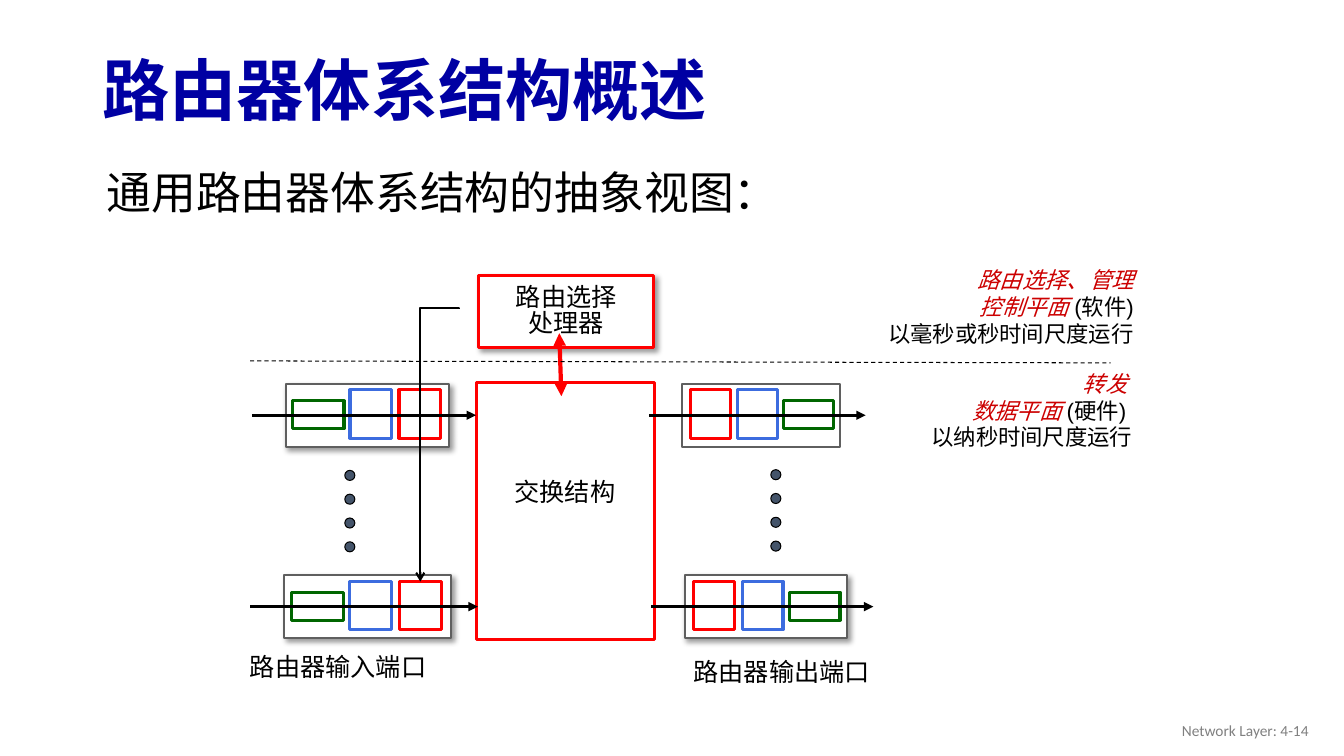
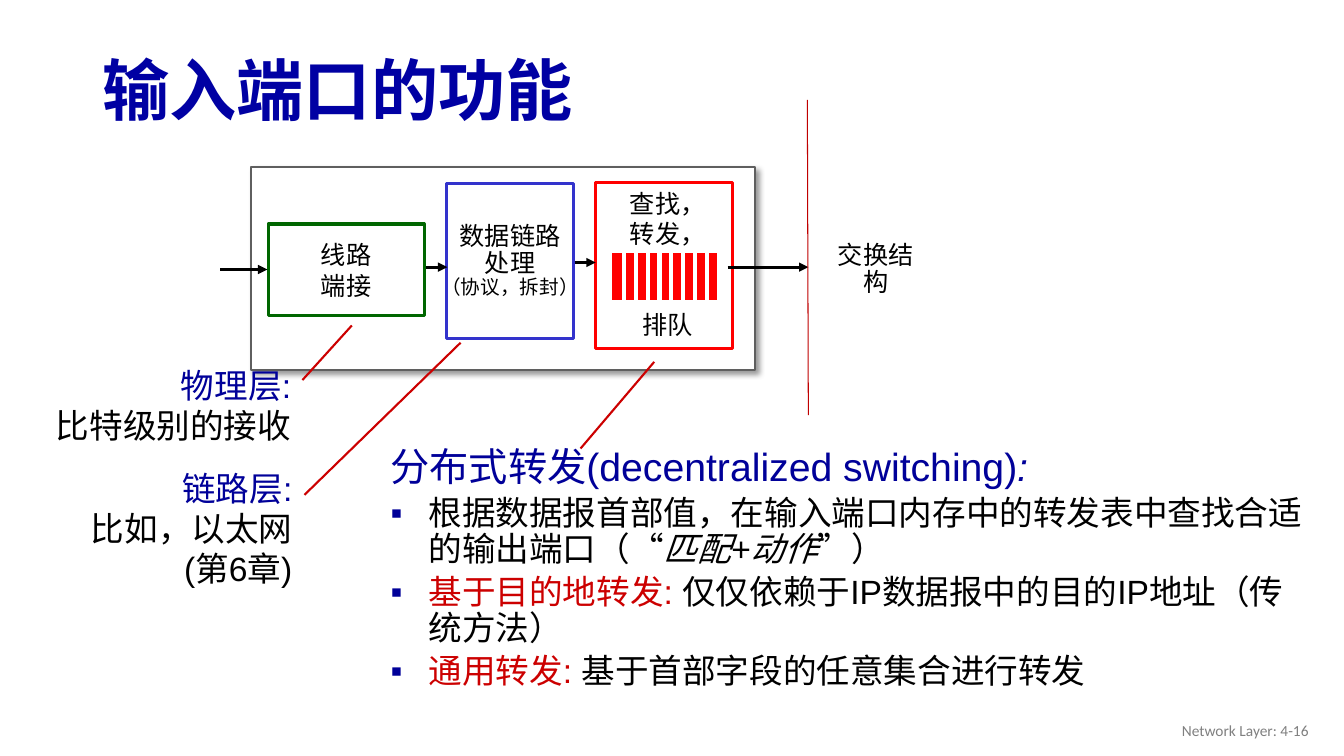
from lxml import etree
from pptx import Presentation
from pptx import util as u
from pptx.dml.color import RGBColor
from pptx.enum import dml, shapes, text
from pptx.oxml import ns

Pt = u.Pt
WHITE = RGBColor(0xFF, 0xFF, 0xFF)
BLACK = RGBColor(0, 0, 0)
TITLE_BLUE = RGBColor(0, 0, 0xA3)
HEADING_BLUE = RGBColor(0, 0, 0x99)
LINK_BLUE = RGBColor(0x33, 0x33, 0xCC)
PORT_BLUE = RGBColor(0x3C, 0x6C, 0xDF)
GREEN = RGBColor(0, 0x66, 0)
RED = RGBColor(0xFF, 0, 0)
ACCENT_RED = RGBColor(0xCC, 0, 0)
DARK_RED = RGBColor(0xC0, 0, 0)
FRAME_GRAY = RGBColor(0x5F, 0x5F, 0x5F)
FOOTER_GRAY = RGBColor(0x80, 0x80, 0x80)
SLATE = RGBColor(0x44, 0x54, 0x6A)

LEFT, CENTER, RIGHT = text.PP_ALIGN.LEFT, text.PP_ALIGN.CENTER, text.PP_ALIGN.RIGHT
TOP, MIDDLE = text.MSO_ANCHOR.TOP, text.MSO_ANCHOR.MIDDLE
RECTANGLE, OVAL = shapes.MSO_SHAPE.RECTANGLE, shapes.MSO_SHAPE.OVAL


def add_element(parent, tag, **attributes):
    return etree.SubElement(parent, ns.qn(tag), attributes)


def write_paragraph(para, spans, size, color=BLACK, align=LEFT, spacing=None,
                    font="Arial", bold=None):
    para.alignment = align
    if spacing:
        para.line_spacing = spacing
    para.font.name = font
    para.font.size = Pt(size)
    para.font.bold = bold
    para.font.color.rgb = color
    for words, span_color, italic in spans:
        span = para.add_run()
        span.text = words
        if span_color != color:
            span.font.color.rgb = span_color
        if italic:
            span.font.italic = True


def write_lines(frame, lines, size, color=BLACK, anchor=TOP, wrap=False, **style):
    frame.word_wrap = wrap
    frame.vertical_anchor = anchor
    for index, line in enumerate(lines):
        para = frame.add_paragraph() if index else frame.paragraphs[0]
        spans = [(line, color, False)] if isinstance(line, str) else line
        write_paragraph(para, spans, size, color, **style)
    return frame


def add_text(page, left, top, width, height, lines, size, **style):
    box = page.shapes.add_textbox(Pt(left), Pt(top), Pt(width), Pt(height))
    return write_lines(box.text_frame, lines, size, **style)


def add_box(page, left, top, width, height, color, weight=2.25, fill=WHITE,
            kind=RECTANGLE, shadow=False):
    box = page.shapes.add_shape(kind, Pt(left), Pt(top), Pt(width), Pt(height))
    box.fill.solid()
    box.fill.fore_color.rgb = fill
    box.line.color.rgb = color
    box.line.width = Pt(weight)
    box.shadow.inherit = False
    if shadow:
        effects = box._element.spPr.find(ns.qn("a:effectLst"))
        outer = add_element(effects, "a:outerShdw", blurRad=str(Pt(4)), dist=str(Pt(3)),
                            dir="2700000", algn="tl", rotWithShape="0")
        shade = add_element(outer, "a:srgbClr", val=str(BLACK))
        add_element(shade, "a:alpha", val="40000")
    return box


def add_line(page, x1, y1, x2, y2, color=BLACK, weight=2.25, head=None, tail=None,
             dash=None, kind=shapes.MSO_CONNECTOR.STRAIGHT):
    line = page.shapes.add_connector(kind, Pt(x1), Pt(y1), Pt(x2), Pt(y2))
    line.line.color.rgb = color
    line.line.width = Pt(weight)
    if dash:
        line.line.dash_style = dash
    outline = line.line._get_or_add_ln()
    for tag, end in (("a:headEnd", head), ("a:tailEnd", tail)):
        if end:
            add_element(outline, tag, type=end)
    add_element(line._element.spPr, "a:effectLst")
    return line


def add_arrow(page, x1, x2, y):
    add_line(page, x1, y, x2, y, tail="triangle")


def add_left_down_elbow(page, x1, y1, x2, y2):
    across, down = x1 - x2, y2 - y1
    middle_x, middle_y = (x1 + x2) / 2, (y1 + y2) / 2
    elbow = add_line(page, middle_x - down / 2, middle_y - across / 2,
                     middle_x + down / 2, middle_y + across / 2, weight=1.5,
                     tail="arrow", kind=shapes.MSO_CONNECTOR.ELBOW)
    properties = elbow._element.spPr
    properties.find(ns.qn("a:xfrm")).set("rot", "5400000")
    guides = properties.find(ns.qn("a:prstGeom")).find(ns.qn("a:avLst"))
    add_element(guides, "a:gd", name="adj1", fmla="val -100")


def add_page(deck, title, number):
    page = deck.slides.add_slide(deck.slide_layouts[6])
    add_text(page, 66, 32, 828, 70, [title], 48, color=TITLE_BLUE, anchor=MIDDLE,
             wrap=True, spacing=0.9, bold=True)
    add_text(page, 726, 507.5, 216, 29, [f"Network Layer: 4-{number}"], 11,
             color=FOOTER_GRAY, anchor=MIDDLE, wrap=True, align=RIGHT, font="Calibri")
    return page


def add_port(page, left, top, width, mirrored=False, shadow=True):
    scale = width / 117
    add_box(page, left, top, width, 45, FRAME_GRAY, 1.5, shadow=shadow)
    stages = ((5, 12, 36.7, 20, GREEN), (46, 4.2, 29.5, 34.5, PORT_BLUE),
              (81, 4.2, 29.5, 34.5, RED))
    for offset, drop, stage_width, stage_height, color in stages:
        start = 117 - offset - stage_width if mirrored else offset
        add_box(page, left + start * scale, top + drop, stage_width * scale,
                stage_height, color)
    add_arrow(page, left - 24 * scale, left + 136 * scale, top + 22.3)


def add_dots(page, left, top):
    for index in range(4):
        add_box(page, left, top + 17 * index, 7.2, 7.2, BLACK, 0.75, SLATE, OVAL)


def add_switching_core(page, left, top):
    add_box(page, left, top + 76, 127, 184, RED)
    add_text(page, left + 19.5, top + 143, 87, 26, ["交换结构"], 18, align=CENTER,
             spacing=0.85)
    processor = add_box(page, left + 1.5, top, 125, 51, RED, shadow=True)
    write_lines(processor.text_frame, ["路由选择", "处理器"], 18, anchor=MIDDLE,
                align=CENTER, spacing=0.85)
    add_line(page, left + 59, top + 41, left + 60.5, top + 86, RED, 3,
             head="triangle", tail="triangle")


def add_plane_note(page, left, top, width, role, plane, medium, scale):
    add_text(page, left, top, width, 65.5,
             [[(role, ACCENT_RED, True)],
              [(plane, ACCENT_RED, True), (medium, BLACK, False)],
              scale], 16, wrap=True, align=RIGHT)


def build_overview(deck):
    page = add_page(deck, "路由器体系结构概述", 14)
    add_text(page, 69, 114, 850, 46, ["通用路由器体系结构的抽象视图："], 32, wrap=True)
    add_switching_core(page, 340.5, 197)
    add_port(page, 204, 274.3, 117)
    add_port(page, 203, 411, 119)
    add_port(page, 487, 274.3, 113, mirrored=True, shadow=False)
    add_port(page, 489, 411, 116, mirrored=True)
    add_dots(page, 246.3, 336)
    add_dots(page, 550.6, 335.5)
    add_text(page, 171.4, 461.5, 142, 29, ["路由器输入端口"], 18)
    add_text(page, 488.2, 465, 142, 29, ["路由器输出端口"], 18)
    add_line(page, 178.6, 257.8, 793.4, 259.2, weight=0.75,
             dash=dml.MSO_LINE.DASH)
    add_plane_note(page, 644, 260.6, 172, "转发 ", "数据平面 ", "(硬件) ",
                   "以纳秒时间尺度运行")
    add_plane_note(page, 590, 186.5, 227, "路由选择、管理", "控制平面 ", "(软件)",
                   "以毫秒或秒时间尺度运行")
    add_left_down_elbow(page, 327.6, 220.3, 300.2, 415.4)


def add_queue(page, left, top):
    add_box(page, left, top, 78.5, 36.7, WHITE, 3, RED)
    for index in range(8):
        x = left + 10.2 + 8.45 * index
        add_line(page, x, top + 0.7, x, top + 36, WHITE, 3)


def add_input_port(page, left, top):
    add_box(page, left, top, 360, 145, FRAME_GRAY, 1.5, shadow=True)
    termination = add_box(page, left + 12, top + 40.5, 111.5, 65.5, GREEN)
    write_lines(termination.text_frame, ["线路", "端接"], 18, anchor=MIDDLE, align=CENTER)
    link = add_box(page, left + 139.5, top + 11.5, 90.7, 111, LINK_BLUE)
    frame = write_lines(link.text_frame, ["数据链路", "处理", "（协议，拆封）"], 18,
                        anchor=MIDDLE, align=CENTER, spacing=0.9)
    frame.paragraphs[-1].font.size = Pt(14)
    add_box(page, left + 246, top + 10.8, 98, 118.8, RED)
    frame = add_text(page, left + 263, top + 11.5, 69, 117, ["查找，", "转发，", "排队"], 18,
                     align=CENTER)
    frame.paragraphs[-1].space_before = Pt(43)
    add_queue(page, left + 256, top + 59.8)
    for start, end, drop in ((-22, 11.5, 73), (125, 140, 71.3), (231, 246, 68),
                             (340.3, 398, 71.3)):
        add_arrow(page, left + start, left + end, top + drop)


def add_layer_note(page, left, top, width, height, layer, *lines):
    add_text(page, left, top, width, height, [[(layer, HEADING_BLUE, False)], *lines], 24,
             align=RIGHT)


def add_forwarding_notes(page, left, top, width, height):
    heading = [("分布式转发(decentralized switching)", HEADING_BLUE, False),
               (":", HEADING_BLUE, True)]
    points = (
        [("根据数据报首部值，在输入端口内存中的转发表中查找合适的输出端口（“", BLACK, False),
         ("匹配+动作", BLACK, True), ("”）", BLACK, False)],
        [("基于目的地转发: ", ACCENT_RED, False),
         ("仅仅依赖于IP数据报中的目的IP地址（传统方法）", BLACK, False)],
        [("通用转发: ", ACCENT_RED, False),
         ("基于首部字段的任意集合进行转发", BLACK, False)],
    )
    frame = add_text(page, left, top, width, height, [heading], 28, color=HEADING_BLUE,
                     wrap=True, spacing=0.9)
    for point in points:
        para = frame.add_paragraph()
        para.space_before = Pt(4.8)
        properties = para._p.get_or_add_pPr()
        properties.set("marL", str(Pt(27)))
        properties.set("indent", str(-Pt(27)))
        bullet_color = add_element(properties, "a:buClr")
        add_element(bullet_color, "a:srgbClr", val=str(HEADING_BLUE))
        add_element(properties, "a:buFont", typeface="Arial")
        add_element(properties, "a:buChar", char="▪")
        write_paragraph(para, point, 24, spacing=0.9)


def build_input_port(deck):
    page = add_page(deck, "输入端口的功能", 16)
    add_input_port(page, 179.5, 119.5)
    add_line(page, 576.7, 71.3, 577.4, 296.6, DARK_RED, 0.75)
    add_text(page, 584, 160, 83, 65.5, ["交换结构"], 18, anchor=MIDDLE, align=CENTER,
             spacing=0.9)
    add_forwarding_notes(page, 272, 316, 673, 210)
    add_layer_note(page, 31, 257, 184, 65.5, "物理层:", "比特级别的接收")
    add_layer_note(page, 56, 330.5, 160, 94, "链路层:", "比如，以太网", "(第6章)")
    for callout in ((216, 271.5, 251.3, 232.5), (414.7, 320.4, 467.3, 258.5),
                    (217.5, 353.5, 329, 244.8)):
        add_line(page, *callout, ACCENT_RED, 1.5)


def main():
    deck = Presentation()
    deck.slide_width, deck.slide_height = Pt(960), Pt(540)
    build_overview(deck)
    build_input_port(deck)
    deck.save("out.pptx")


if __name__ == "__main__":
    main()
